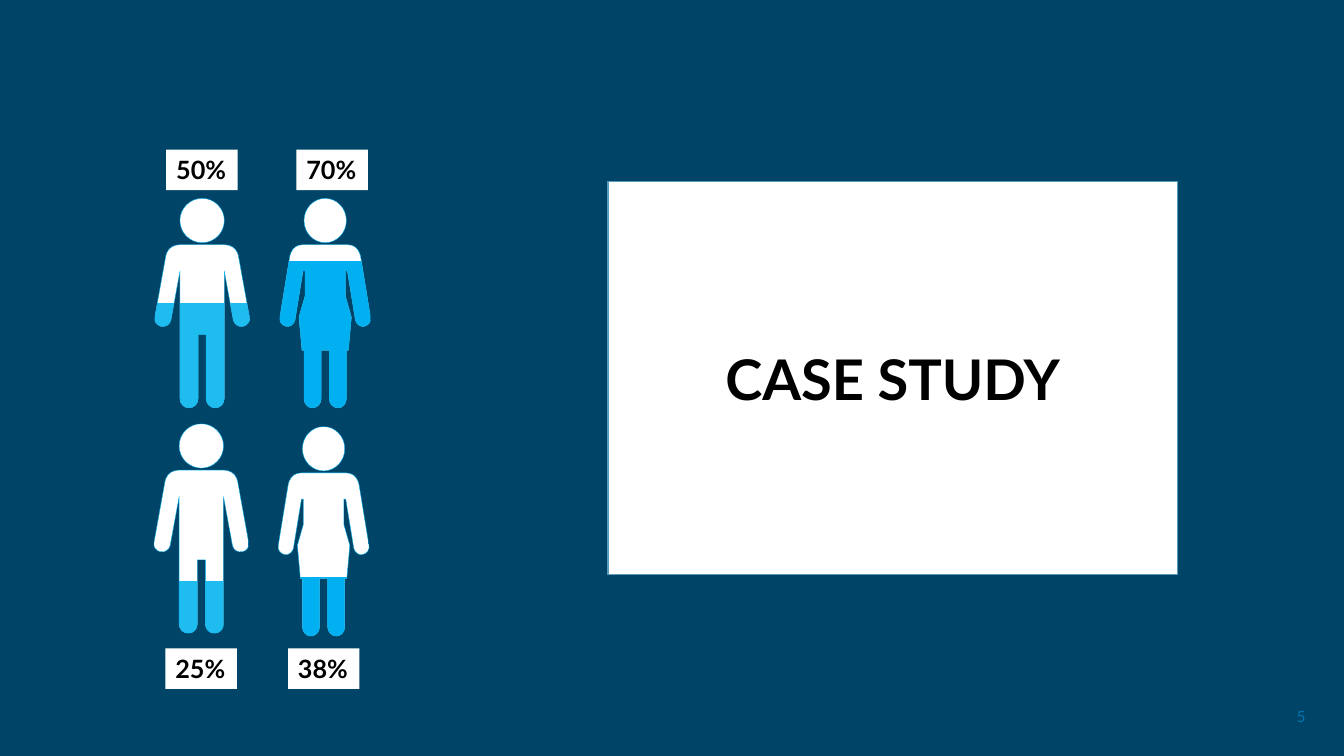
from lxml import etree
from pptx import Presentation
from pptx import util as u
from pptx.dml import color
from pptx.enum import shapes, text
from pptx.oxml import ns

COLORS = {
    "background": "004568",
    "white": "FFFFFF",
    "black": "000000",
    "man": "1FBCEF",
    "woman": "00B0F0",
    "outline": "00B0F0",
    "panel_edge": "579BBD",
    "page_number": "0074AF",
}

FIGURE_UNITS = 208
ROUNDNESS = 0.55
RIGHT_HALVES = {
    "man": [
        (0, 46), (22, 46), (28, 46, 33, 49, 35, 54), (36, 57), (47, 118),
        (48, 122, 45, 126, 41, 127), (36, 128, 32, 125, 31, 121),
        (22, 72), (22, 199), (22, 204, 18, 208, 13, 208),
        (8, 208, 4, 204, 4, 199), (4, 135),
    ],
    "woman": [
        (0, 46), (22, 46), (28, 46, 32, 49, 34, 54), (35, 57), (45, 118),
        (46, 122, 43, 126, 39, 127), (35, 128, 31, 125, 30, 121),
        (22, 72), (20, 72), (20, 97), (26, 118), (23, 151), (21, 151),
        (21, 199), (21, 204, 17, 208, 13, 208),
        (8, 208, 4, 204, 4, 199), (4, 151),
    ],
}
HEAD_RADII = {"man": (22, 22), "woman": (21, 22)}
TITLE_FRAME = {"word_wrap": True, "vertical_anchor": text.MSO_ANCHOR.MIDDLE}
LABEL_FRAME = {
    "word_wrap": False,
    "auto_size": text.MSO_AUTO_SIZE.SHAPE_TO_FIT_TEXT,
    "vertical_anchor": text.MSO_ANCHOR.TOP,
}


def rgb(name):
    return color.RGBColor.from_string(COLORS[name])


def cm_box(*lengths):
    return [u.Cm(length) for length in lengths]


def apply(target, values):
    for name, value in values.items():
        setattr(target, name, value)


def write(frame, words, size, ink, frame_format, align, bold=True):
    apply(frame, frame_format)
    paragraph = frame.paragraphs[0]
    paragraph.alignment = align
    run = paragraph.add_run()
    run.text = words
    apply(run.font, {"name": "Lato", "size": u.Pt(size), "bold": bold})
    run.font.color.rgb = rgb(ink)


def add_block(slide, box, fill, edge=None):
    block = slide.shapes.add_shape(shapes.MSO_SHAPE.RECTANGLE, *box)
    block.shadow.inherit = False
    block.fill.solid()
    block.fill.fore_color.rgb = rgb(fill)
    if edge:
        block.line.color.rgb = rgb(edge)
        block.line.width = u.Pt(1)
    else:
        block.line.fill.background()
    return block


def pairs(step):
    return list(zip(step[::2], step[1::2]))


def body_steps(kind):
    half = [pairs(step) for step in RIGHT_HALVES[kind]]
    mirrored = [(-x, y) for step in half for x, y in step][::-1]
    steps = half + [mirrored[:1]]
    position = 1
    for step in half[:0:-1]:
        steps.append(mirrored[position:position + len(step)])
        position += len(step)
    return steps


def head_steps(kind):
    across, down = HEAD_RADII[kind]
    k = ROUNDNESS
    circle = [
        (0, -1), (k, -1, 1, -k, 1, 0), (1, k, k, 1, 0, 1),
        (-k, 1, -1, k, -1, 0), (-1, -k, -k, -1, 0, -1),
    ]
    return [[(across * x, down + down * y) for x, y in pairs(step)]
            for step in circle]


def draw_steps(figure, parts):
    outline = next(figure._element.iter(ns.qn("a:path")))
    for child in list(outline):
        outline.remove(child)
    for steps in parts:
        for i, step in enumerate(steps):
            tag = "a:cubicBezTo" if len(step) == 3 else "a:lnTo"
            stroke = etree.SubElement(outline, ns.qn(tag if i else "a:moveTo"))
            for x, y in step:
                etree.SubElement(stroke, ns.qn("a:pt"),
                                 x=str(x - figure.left), y=str(y - figure.top))
        etree.SubElement(outline, ns.qn("a:close"))


def add_figure(slide, box, kind, white_share):
    left, top, width, height = box
    scale = height / FIGURE_UNITS
    parts = [
        [[(round(left + width / 2 + x * scale), round(top + y * scale))
          for x, y in step] for step in steps]
        for steps in (body_steps(kind), head_steps(kind))
    ]
    corners = [step[-1] for steps in parts for step in steps]
    builder = slide.shapes.build_freeform(*corners[0])
    builder.add_line_segments(corners[1:])
    figure = builder.convert_to_shape()
    draw_steps(figure, parts)
    figure.shadow.inherit = False
    figure.fill.gradient()
    figure.fill.gradient_angle = 270
    for stop, name in zip(figure.fill.gradient_stops, ("white", kind)):
        stop.position = white_share
        stop.color.rgb = rgb(name)
    figure.line.color.rgb = rgb("outline")
    figure.line.width = u.Pt(0.25)


def add_percent(slide, box, percent):
    label = add_block(slide, box, "white")
    write(label.text_frame, percent, 18, "black", LABEL_FRAME,
          text.PP_ALIGN.LEFT)


def add_title_panel(slide, box, title):
    panel = add_block(slide, box, "white", "panel_edge")
    write(panel.text_frame, title, 40, "black", TITLE_FRAME,
          text.PP_ALIGN.CENTER)


def add_page_number(slide, box, number):
    frame = slide.shapes.add_textbox(*box).text_frame
    write(frame, number, 11, "page_number", TITLE_FRAME,
          text.PP_ALIGN.RIGHT, bold=False)


def build_case_study(slide):
    people = [
        ("man", 0.5, "50%", (3.9, 5), (4.19, 3.77)),
        ("man", 0.75, "25%", (3.88, 10.68), (4.17, 16.34)),
        ("woman", 0.3, "70%", (7.05, 5), (7.47, 3.77)),
        ("woman", 0.72, "38%", (7.01, 10.75), (7.26, 16.34)),
    ]
    widths = {"man": 2.39, "woman": 2.29}
    add_page_number(slide, cm_box(25.53, 17.55, 7.62, 1.02), "5")
    for kind, white_share, percent, figure_at, label_at in people:
        add_figure(slide, cm_box(*figure_at, widths[kind], 5.28),
                   kind, white_share)
        add_percent(slide, cm_box(*label_at, 1.8, 1.02), percent)
    add_block(slide, cm_box(0, -0.2, 33.87, 3.66), "background", "background")
    add_title_panel(slide, cm_box(15.32, 4.57, 14.35, 9.91), "CASE STUDY")


def main():
    deck = Presentation()
    apply(deck, {"slide_width": u.Cm(33.87), "slide_height": u.Cm(19.05)})
    slide = deck.slides.add_slide(deck.slide_layouts[6])
    slide.background.fill.solid()
    slide.background.fill.fore_color.rgb = rgb("background")
    build_case_study(slide)
    deck.save("out.pptx")


if __name__ == "__main__":
    main()
